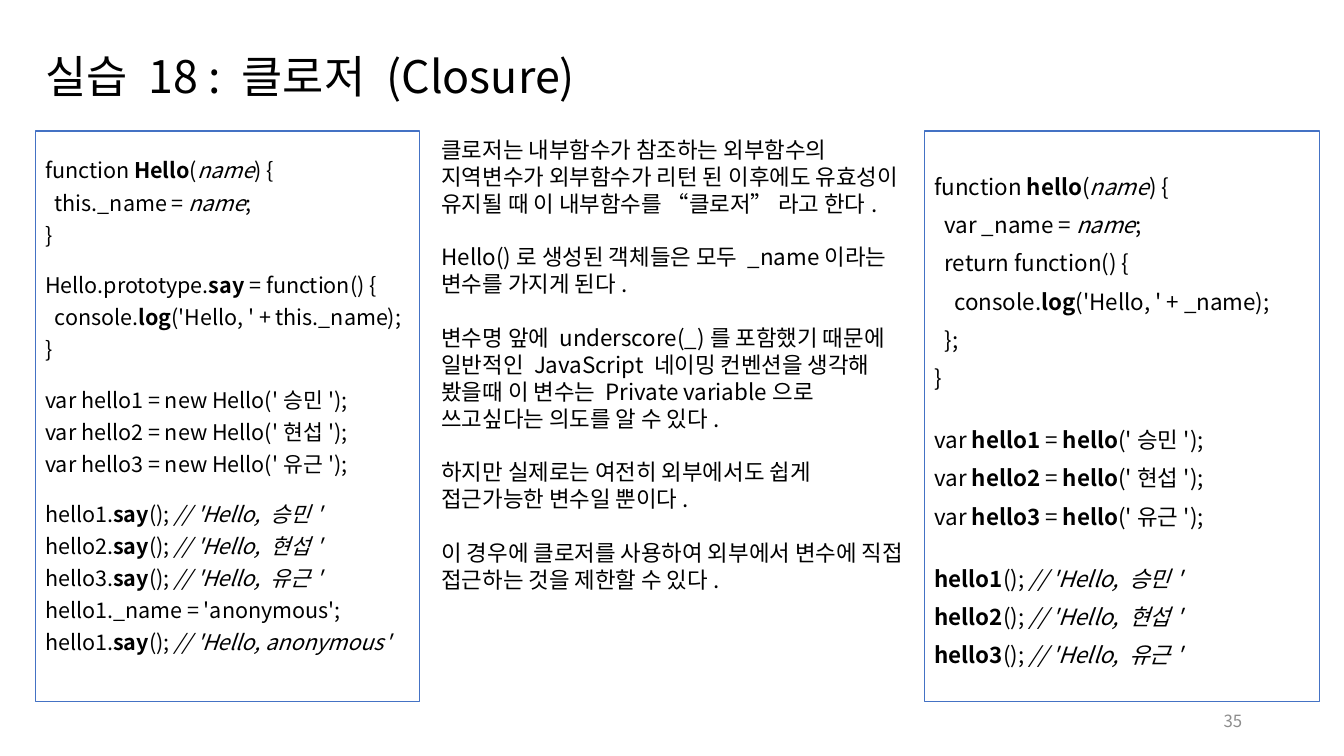
from pptx import Presentation
from pptx import util as u
from pptx.dml.color import RGBColor
from pptx.enum import shapes, text
from pptx.oxml.ns import qn

FONT = "Noto Sans CJK KR"
BLACK = RGBColor(0x00, 0x00, 0x00)
GREY = RGBColor(0x8C, 0x8C, 0x8C)
BLUE = RGBColor(0x44, 0x72, 0xC4)
CELL = u.Inches(0.1)
LINE_HEIGHT = 1.2
NBSP = chr(160)

# Code markup: "|" separates spans, "*" opens a bold one, "~" an italic one.
# Each inner list is a block of code set apart from the one before.
PROTOTYPE_CODE = [
    ["function |*Hello|(|~name|) {",
     "  this._name = |~name|;",
     "}"],
    ["Hello.prototype.|*say| = function() {",
     "  console.|*log|('Hello, ' + this._name);",
     "}"],
    ["var hello1 = new Hello('승민');",
     "var hello2 = new Hello('현섭');",
     "var hello3 = new Hello('유근');"],
    ["hello1.|*say|(); |~// 'Hello, 승민'",
     "hello2.|*say|(); |~// 'Hello, 현섭'",
     "hello3.|*say|(); |~// 'Hello, 유근'",
     "hello1._name = 'anonymous';",
     "hello1.|*say|(); |~// 'Hello, anonymous'"],
]
CLOSURE_CODE = [
    ["function |*hello|(|~name|) {",
     "  var _name = |~name|;",
     "  return function() {",
     "    console.|*log|('Hello, ' + _name);",
     "  };",
     "}"],
    ["var |*hello1| = |*hello|('승민');",
     "var |*hello2| = |*hello|('현섭');",
     "var |*hello3| = |*hello|('유근');"],
    ["*hello1|(); |~// 'Hello, 승민'",
     "*hello2|(); |~// 'Hello, 현섭'",
     "*hello3|(); |~// 'Hello, 유근'"],
]
EXPLANATION = [
    "클로저는 내부함수가 참조하는 외부함수의 지역변수가 외부함수가 리턴 된 이후에도 "
    "유효성이 유지될 때 이 내부함수를 “클로저” 라고 한다.",
    "Hello()로 생성된 객체들은 모두 _name이라는 변수를 가지게 된다.",
    "변수명 앞에 underscore(_)를 포함했기 때문에 일반적인 JavaScript 네이밍 컨벤션을 "
    "생각해 봤을때 이 변수는 Private variable으로 쓰고싶다는 의도를 알 수 있다.",
    "하지만 실제로는 여전히 외부에서도 쉽게 접근가능한 변수일 뿐이다.",
    "이 경우에 클로저를 사용하여 외부에서 변수에 직접 접근하는 것을 제한할 수 있다.",
]


class LessonPage:
    """Places elements on one slide; lengths are in grid cells."""

    def __init__(self, page):
        self.page = page

    def area(self, column, row, columns, rows):
        return [round(cells * CELL) for cells in (column, row, columns, rows)]

    def style(self, span, size, color=BLACK):
        span.font.name = FONT
        span.font.size = u.Pt(size)
        span.font.color.rgb = color
        latin = span.font._element.find(qn("a:latin"))
        east_asian = latin.makeelement(qn("a:ea"), {"typeface": FONT})
        latin.addnext(east_asian)

    def prose(self, area, paragraphs, size, color=BLACK, gap=0.0, spacing=1.0,
              anchor=text.MSO_ANCHOR.TOP, align=text.PP_ALIGN.LEFT):
        frame = self.page.shapes.add_textbox(*self.area(*area)).text_frame
        frame.word_wrap = True
        frame.vertical_anchor = anchor
        frame.text = "\n".join(paragraphs)
        for index, para in enumerate(frame.paragraphs):
            para.alignment = align
            para.line_spacing = spacing
            para.space_before = u.Pt(gap if index else 0)
            for span in para.runs:
                self.style(span, size, color)

    def code_panel(self, area, blocks, size, spacing, top_inset):
        box = self.page.shapes.add_shape(
            shapes.MSO_SHAPE.RECTANGLE, *self.area(*area))
        box.shadow.inherit = False
        box.fill.background()
        box.line.color.rgb = BLUE
        box.line.width = u.Pt(0.75)
        frame = box.text_frame
        frame.word_wrap = True
        frame.vertical_anchor = text.MSO_ANCHOR.TOP
        frame.margin_top = u.Pt(top_inset)
        para = frame.paragraphs[0]
        for block_index, block in enumerate(blocks):
            for line_index, line in enumerate(block):
                first = block_index == line_index == 0
                if not first:
                    para = frame.add_paragraph()
                block_gap = 0 if line_index else size * LINE_HEIGHT * spacing
                para.alignment = text.PP_ALIGN.LEFT
                para.line_spacing = 1.0 if first else spacing
                para.space_before = u.Pt(0 if first else 10 + block_gap)
                self.code_line(para, line, size)

    def code_line(self, para, line, size):
        for part in line.split("|"):
            span = para.add_run()
            span.text = part.lstrip("*~").replace(" ", NBSP)
            self.style(span, size)
            span.font.bold = part.startswith("*")
            span.font.italic = part.startswith("~")


def main():
    deck = Presentation()
    deck.slide_width, deck.slide_height = u.Inches(13.33), u.Inches(7.5)
    lesson = LessonPage(deck.slides.add_slide(deck.slide_layouts[6]))
    lesson.prose((3.5, 4, 126.6, 7.7), ["실습 18 : 클로저 (Closure)"], 32,
                 spacing=0.9, anchor=text.MSO_ANCHOR.MIDDLE)
    lesson.code_panel((3.5, 13, 38.1, 56.6), PROTOTYPE_CODE, 15.4, 0.7, 18.6)
    lesson.prose((94.2, 69.5, 30, 4), ["35"], 12, GREY,
                 anchor=text.MSO_ANCHOR.MIDDLE, align=text.PP_ALIGN.RIGHT)
    lesson.code_panel((91.7, 13, 39.2, 56.6), CLOSURE_CODE, 16, 0.9, 30.4)
    lesson.prose((42.8, 13, 48, 49.5), EXPLANATION, 16, gap=16 * LINE_HEIGHT)
    deck.save("out.pptx")


if __name__ == "__main__":
    main()
